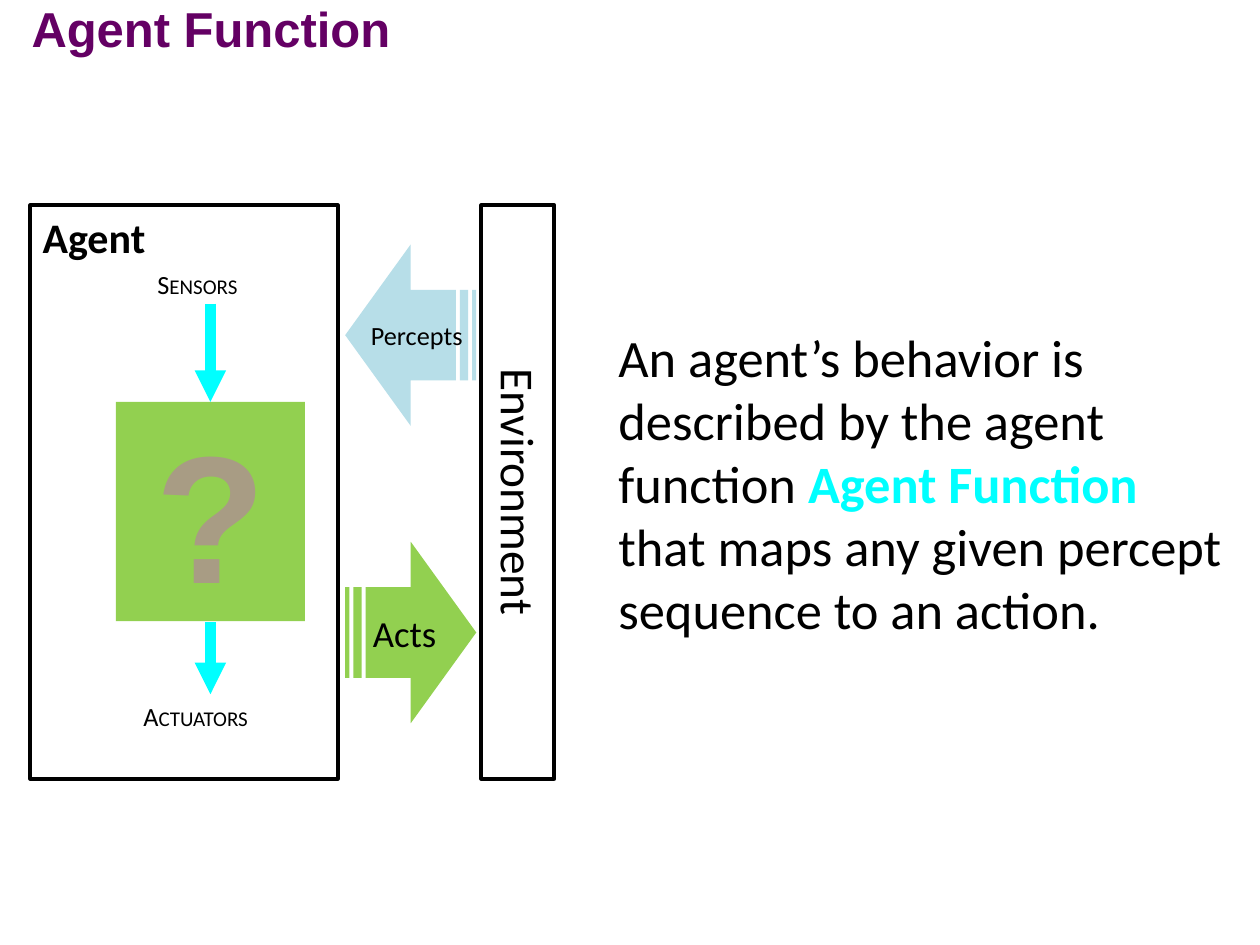
from dataclasses import dataclass
from typing import Optional

from lxml.etree import SubElement
from pptx import Presentation
from pptx.dml.color import RGBColor as RGB
from pptx.enum.shapes import MSO_CONNECTOR as CONN, MSO_SHAPE as SHAPE
from pptx.enum.text import MSO_ANCHOR as ANCHOR, MSO_AUTO_SIZE as FIT, PP_ALIGN as ALIGN
from pptx.oxml.ns import qn
from pptx.util import Inches, Pt


@dataclass(frozen=True)
class Theme:
    ink: str = "000000"
    title: str = "640064"
    accent: str = "00FFFF"
    green: str = "92D050"
    blue: str = "B7DEE8"
    mark: str = "A89C84"
    heading_font: str = "Arial"
    body_font: str = "Calibri"
    title_size: float = 28
    body_size: float = 30
    frame_size: float = 24
    side_size: float = 27
    acts_size: float = 21
    label_size: float = 15
    mark_size: float = 103.5


THEME = Theme()


@dataclass(frozen=True)
class Box:
    left: float
    top: float
    width: float
    height: float

    def lengths(self) -> list:
        return [Inches(v) for v in (self.left, self.top, self.width, self.height)]


@dataclass(frozen=True)
class Flow:
    text: str
    top: float
    fill: str
    size: float
    flipped: bool


@dataclass(frozen=True)
class Label:
    text: str
    box: Box


@dataclass(frozen=True)
class Arrow:
    top: float
    bottom: float


FLOWS = [
    Flow("Percepts", 1.94, THEME.blue, THEME.label_size, True),
    Flow("Acts", 4.3, THEME.green, THEME.acts_size, False),
]
LABELS = [
    Label("Sensors", Box(1.15, 2.08, 1.15, 0.35)),
    Label("Actuators", Box(1.04, 5.51, 1.26, 0.35)),
]
ARROWS = [Arrow(2.41, 3.19), Arrow(4.94, 5.51)]
ARROW_X = 1.67


def add_text(p, text: str, *, size: float, font: str = THEME.body_font,
             color: str = THEME.ink, bold: bool = False,
             small_caps: bool = False, align=None) -> None:
    """Append one formatted run to a paragraph."""
    if align is not None:
        p.alignment = align
    r = p.add_run()
    r.text = text
    r.font.size, r.font.name, r.font.bold = Pt(size), font, bold
    r.font.color.rgb = RGB.from_string(color)
    if small_caps:
        r.font._element.set("cap", "small")


def set_frame(tf, *, anchor=ANCHOR.TOP, inset: Optional[float] = None,
              wrap: bool = True, fit=FIT.NONE):
    """Set up a text frame and return its first paragraph."""
    tf.word_wrap, tf.auto_size, tf.vertical_anchor = wrap, fit, anchor
    if inset is not None:
        tf.margin_left = tf.margin_right = Inches(inset)
        tf.margin_top = tf.margin_bottom = Inches(inset)
    return tf.paragraphs[0]


def add_block(s, kind, box: Box, *, fill: Optional[str] = None,
              line: Optional[str] = None):
    sp = s.shapes.add_shape(kind, *box.lengths())
    sp.shadow.inherit = False
    if fill:
        sp.fill.solid()
        sp.fill.fore_color.rgb = RGB.from_string(fill)
    else:
        sp.fill.background()
    if line:
        sp.line.color.rgb = RGB.from_string(line)
        sp.line.width = Pt(2.25)
    else:
        sp.line.fill.background()
    return sp


def add_flow(s, flow: Flow) -> None:
    sp = add_block(s, SHAPE.STRIPED_RIGHT_ARROW, Box(2.74, flow.top, 1.04, 1.44),
                   fill=flow.fill)
    if flow.flipped:
        sp._element.spPr.find(qn("a:xfrm")).set("flipH", "1")
    p = set_frame(sp.text_frame, anchor=ANCHOR.MIDDLE, inset=0, wrap=False)
    add_text(p, flow.text, size=flow.size, align=ALIGN.CENTER)


def add_label(s, label: Label) -> None:
    sp = s.shapes.add_textbox(*label.box.lengths())
    p = set_frame(sp.text_frame, fit=FIT.SHAPE_TO_FIT_TEXT)
    add_text(p, label.text, size=THEME.label_size, small_caps=True)


def add_arrow(s, arrow: Arrow) -> None:
    x = Inches(ARROW_X)
    c = s.shapes.add_connector(CONN.STRAIGHT, x, Inches(arrow.top),
                               x, Inches(arrow.bottom))
    c.line.color.rgb = RGB.from_string(THEME.accent)
    c.line.width = Pt(6)
    SubElement(c.line._get_or_add_ln(), qn("a:tailEnd"), type="triangle")
    SubElement(c._element.spPr, qn("a:effectLst"))


def main() -> None:
    prs = Presentation()
    prs.slide_width, prs.slide_height = Inches(10), Inches(7.5)
    s = prs.slides.add_slide(prs.slide_layouts[5])

    # Title
    title = s.shapes.title
    title.left, title.top, title.width, title.height = Box(0.25, -0.01, 9.5, 0.47).lengths()
    p = set_frame(title.text_frame, inset=0, fit=FIT.SHAPE_TO_FIT_TEXT)
    add_text(p, "Agent Function", size=THEME.title_size, font=THEME.heading_font,
             color=THEME.title, bold=True, align=ALIGN.LEFT)

    # Agent and environment frames
    agent = add_block(s, SHAPE.RECTANGLE, Box(0.24, 1.63, 2.44, 4.55), line=THEME.ink)
    add_text(set_frame(agent.text_frame), "Agent", size=THEME.frame_size,
             bold=True, align=ALIGN.JUSTIFY)
    environment = add_block(s, SHAPE.RECTANGLE, Box(3.82, 1.63, 0.58, 4.55), line=THEME.ink)
    p = set_frame(environment.text_frame)
    environment.text_frame._txBody.bodyPr.set("vert", "vert")
    add_text(p, "Environment", size=THEME.side_size, align=ALIGN.CENTER)

    # Exchange between agent and environment
    for flow in FLOWS:
        add_flow(s, flow)

    # Inside the agent
    for label in LABELS:
        add_label(s, label)
    unknown = add_block(s, SHAPE.RECTANGLE, Box(0.92, 3.19, 1.5, 1.74), fill=THEME.green)
    add_text(set_frame(unknown.text_frame, inset=0), "?", size=THEME.mark_size,
             font=THEME.heading_font, color=THEME.mark, bold=True, align=ALIGN.CENTER)
    for arrow in ARROWS:
        add_arrow(s, arrow)

    # Explanation
    body = s.shapes.add_textbox(*Box(4.81, 2.53, 5.03, 2.63).lengths())
    tf = body.text_frame
    p = set_frame(tf, fit=FIT.SHAPE_TO_FIT_TEXT)
    add_text(p, "An agent’s behavior is", size=THEME.body_size)
    p = tf.add_paragraph()
    add_text(p, "described by the agent function ", size=THEME.body_size)
    add_text(p, "Agent Function ", size=THEME.body_size, color=THEME.accent, bold=True)
    add_text(p, "that maps any given percept sequence to an action.", size=THEME.body_size)

    prs.save("out.pptx")


if __name__ == "__main__":
    main()
